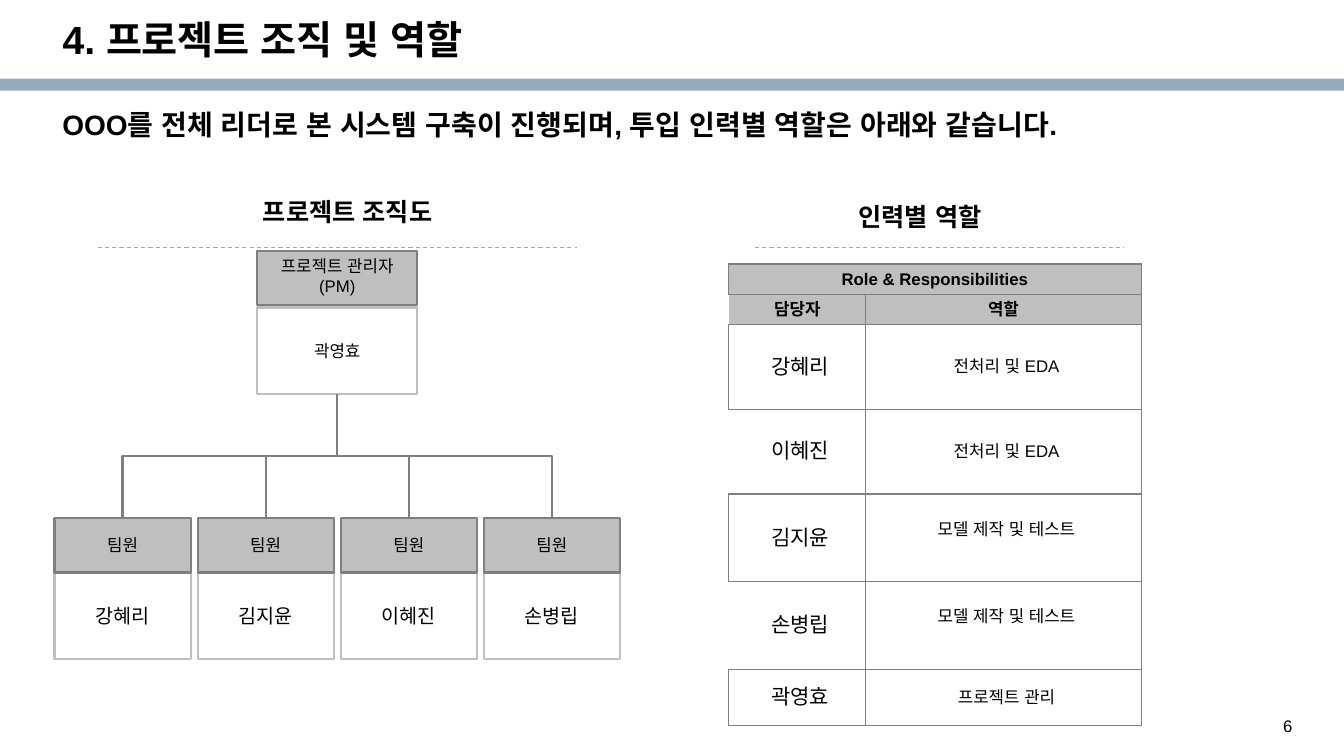
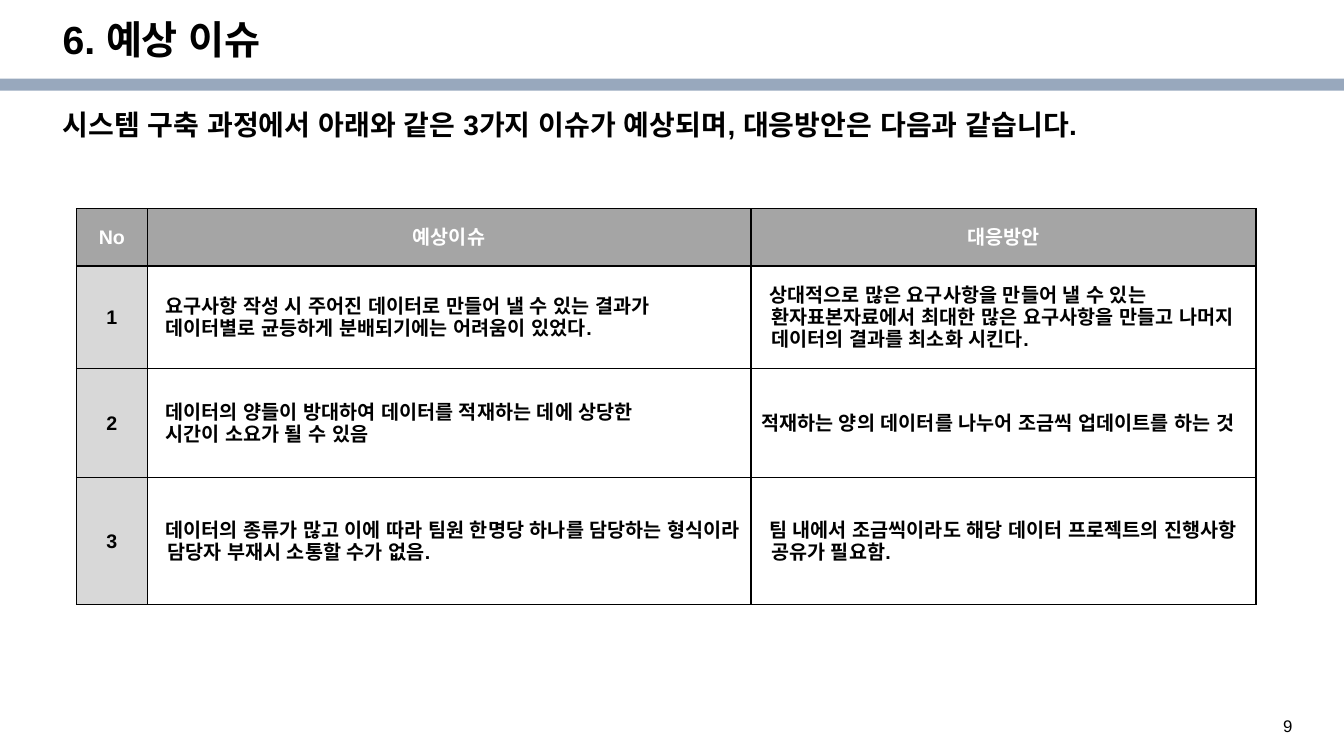
"""Build the project organisation and expected issues slides."""
import dataclasses

import lxml.etree
import pptx
import pptx.dml.color
import pptx.enum.dml
import pptx.enum.shapes
import pptx.enum.text
import pptx.oxml.ns
import pptx.util

ALIGN = pptx.enum.text.PP_ALIGN
ANCHOR = pptx.enum.text.MSO_ANCHOR
CONNECTOR = pptx.enum.shapes.MSO_CONNECTOR
RECTANGLE = pptx.enum.shapes.MSO_SHAPE.RECTANGLE
WIDTH = pptx.util.Inches(13.333)
HEIGHT = pptx.util.Inches(7.5)
QUARTER_TURN = 5400000


@dataclasses.dataclass(frozen=True)
class Theme:
    """Colours, font and type sizes shared by the slides."""
    font: str = "Arial"
    text: str = "000000"
    inverse: str = "FFFFFF"
    band: str = "98A8BD"
    panel: str = "BFBFBF"
    rule: str = "7F7F7F"
    header: str = "A5A5A5"
    number: str = "D8D8D8"
    title: int = 28
    lead: int = 20
    heading: int = 18
    person: int = 15
    body: int = 14
    small: int = 12


THEME = Theme()


@dataclasses.dataclass(frozen=True)
class CellStyle:
    """Look of one kind of table cell, with margins and indents in inches."""
    size: int = THEME.body
    bold: bool = True
    color: str = THEME.text
    fill: str = ""
    align: object = ALIGN.LEFT
    side: float = 0.1
    top: float = 0.04
    bottom: float = 0.04
    indent: float = 0
    hanging: float = 0
    borders: str = "LRTB"


def across(percent):
    """Return a share of the slide width."""
    return round(WIDTH * percent / 100)


def down(percent):
    """Return a share of the slide height."""
    return round(HEIGHT * percent / 100)


def place(left, top, width, height):
    """Return a box given in percent of the slide."""
    return across(left), down(top), across(width), down(height)


def rgb(color):
    """Return a colour object for a hexadecimal string."""
    return pptx.dml.color.RGBColor.from_string(color)


def format_text(text_frame, size, bold=False, color=THEME.text,
                align=ALIGN.LEFT, spacing=None):
    """Format every paragraph and run of a text frame."""
    for paragraph in text_frame.paragraphs:
        paragraph.alignment = align
        paragraph.line_spacing = spacing
        for run in paragraph.runs:
            run.font.size = pptx.util.Pt(size)
            run.font.bold = bold
            run.font.color.rgb = rgb(color)
            run.font.name = THEME.font
            east_asian = lxml.etree.SubElement(
                run._r.get_or_add_rPr(), pptx.oxml.ns.qn("a:ea"))
            east_asian.set("typeface", THEME.font)


def add_text(slide, box, text, size, bold=True, spacing=None):
    """Add a wrapping text box."""
    text_frame = slide.shapes.add_textbox(*place(*box)).text_frame
    text_frame.word_wrap = True
    text_frame.text = text
    format_text(text_frame, size, bold, spacing=spacing)


def add_box(slide, box, text, size, line, fill=None, anchor=ANCHOR.MIDDLE):
    """Add an outlined rectangle with centred text."""
    shape = slide.shapes.add_shape(RECTANGLE, *place(*box))
    shape.shadow.inherit = False
    if fill:
        shape.fill.solid()
        shape.fill.fore_color.rgb = rgb(fill)
    else:
        shape.fill.background()
    shape.line.color.rgb = rgb(line)
    shape.line.width = pptx.util.Pt(1.5)
    shape.text_frame.word_wrap = True
    shape.text_frame.vertical_anchor = anchor
    shape.text_frame.text = text
    format_text(shape.text_frame, size, align=ALIGN.CENTER)


def add_line(slide, kind, start, end, color, width):
    """Add a connector without shadow between two points in slide units."""
    connector = slide.shapes.add_connector(kind, *start, *end)
    connector.line.color.rgb = rgb(color)
    connector.line.width = pptx.util.Pt(width)
    lxml.etree.SubElement(connector.element.spPr,
                          pptx.oxml.ns.qn("a:effectLst"))
    return connector


def add_branch(slide, start, end):
    """Add an elbow that leaves its start downwards and enters its end from above."""
    drop = end[1] - start[1]
    reach = abs(end[0] - start[0])
    left = (start[0] + end[0] - drop) // 2
    top = (start[1] + end[1] - reach) // 2
    connector = add_line(slide, CONNECTOR.ELBOW, (left, top),
                         (left + drop, top + reach), THEME.rule, 1.5)
    transform = connector.element.spPr.find(pptx.oxml.ns.qn("a:xfrm"))
    if end[0] > start[0]:
        transform.set("rot", str(3 * QUARTER_TURN))
        transform.set("flipH", "1")
    else:
        transform.set("rot", str(QUARTER_TURN))


def add_heading(slide, box, text, rule_left, rule_right):
    """Add a section heading above a dashed rule."""
    rule = add_line(slide, CONNECTOR.STRAIGHT, (across(rule_left), down(32.8)),
                    (across(rule_right), down(32.8)), THEME.header, 0.75)
    rule.line.dash_style = pptx.enum.dml.MSO_LINE.DASH
    add_text(slide, box, text, THEME.heading)


def set_borders(cell, sides, color):
    """Draw one-point borders on the named sides of a cell."""
    properties = cell._tc.get_or_add_tcPr()
    for position, side in enumerate("LRTB"):
        border = lxml.etree.Element(pptx.oxml.ns.qn("a:ln" + side))
        border.set("w", str(pptx.util.Pt(1)))
        if side in sides:
            fill = lxml.etree.SubElement(border, pptx.oxml.ns.qn("a:solidFill"))
            lxml.etree.SubElement(fill, pptx.oxml.ns.qn("a:srgbClr"), val=color)
        else:
            lxml.etree.SubElement(border, pptx.oxml.ns.qn("a:noFill"))
        properties.insert(position, border)


def fill_cell(cell, text, style, border_color):
    """Write and format one table cell."""
    cell.text_frame.text = text
    cell.vertical_anchor = ANCHOR.MIDDLE
    cell.margin_left = cell.margin_right = pptx.util.Inches(style.side)
    cell.margin_top = pptx.util.Inches(style.top)
    cell.margin_bottom = pptx.util.Inches(style.bottom)
    if style.fill:
        cell.fill.solid()
        cell.fill.fore_color.rgb = rgb(style.fill)
    else:
        cell.fill.background()
    format_text(cell.text_frame, style.size, style.bold, style.color, style.align)
    for paragraph in cell.text_frame.paragraphs:
        properties = paragraph._p.get_or_add_pPr()
        properties.set("marL", str(pptx.util.Inches(style.indent)))
        properties.set("indent", str(pptx.util.Inches(style.hanging)))
    set_borders(cell, style.borders, border_color)


def add_table(slide, left, top, columns, rows, cells, border_color):
    """Add a table from rows of (text, style) pairs and return it."""
    box = place(left, top, sum(columns), sum(rows))
    table = slide.shapes.add_table(len(rows), len(columns), *box).table
    table.first_row = table.horz_banding = False
    for column, width in zip(table.columns, columns):
        column.width = across(width)
    for row, height, contents in zip(table.rows, rows, cells):
        row.height = down(height)
        for cell, (text, style) in zip(row.cells, contents):
            fill_cell(cell, text, style, border_color)
    return table


def prepare_layout(presentation):
    """Return the title-only layout with its title moved and a band added."""
    layout = presentation.slide_layouts[5]
    title = layout.placeholders[0]
    title.left, title.top, title.width, title.height = place(3.9, 2, 86.25, 7.07)
    return layout


def add_slide(presentation, layout, title, lead, page):
    """Add a slide with band, title, lead sentence and page number."""
    slide = presentation.slides.add_slide(layout)
    band = slide.shapes.add_shape(RECTANGLE, *place(0, 10.4, 100, 1.6))
    band.shadow.inherit = False
    band.fill.solid()
    band.fill.fore_color.rgb = rgb(THEME.band)
    band.line.fill.background()
    text_frame = slide.shapes.title.text_frame
    text_frame.text = title
    text_frame.vertical_anchor = ANCHOR.MIDDLE
    format_text(text_frame, THEME.title, True, spacing=0.9)
    add_text(slide, (3.9, 14.13, 90.08, 9.47), lead, THEME.lead, spacing=0.9)
    add_text(slide, (94.73, 94, 3.9, 3.6), page, THEME.small, bold=False)
    return slide


def add_organisation(slide):
    """Draw the manager, the team members and the branches between them."""
    head_height, name_height = 7.2, 11.47
    manager_left, manager_width, manager_top = 19.13, 11.93, 40.67
    member_left, member_width, member_top, pitch = 4.05, 10.13, 68.53, 10.65
    add_box(slide, (manager_left, manager_top, manager_width, name_height),
            "곽영효", THEME.small, THEME.panel)
    add_box(slide, (manager_left, 33.2, manager_width, head_height),
            "프로젝트 관리자(PM)", THEME.small, THEME.rule, THEME.panel, ANCHOR.TOP)
    start = (across(manager_left + manager_width / 2),
             down(manager_top + name_height))
    for index, name in enumerate(("강혜리", "김지윤", "이혜진", "손병립")):
        left = member_left + index * pitch
        add_box(slide, (left, member_top + head_height, member_width, name_height),
                name, THEME.body, THEME.panel)
        add_box(slide, (left, member_top, member_width, head_height),
                "팀원", THEME.small, THEME.rule, THEME.panel)
        add_branch(slide, start, (across(left + member_width / 2), down(member_top)))


def add_roles(slide):
    """Add the table of people and their roles."""
    head = CellStyle(size=THEME.small, fill=THEME.panel, align=ALIGN.CENTER,
                     top=0.05, bottom=0.05)
    open_head = dataclasses.replace(head, borders="RTB")
    person = CellStyle(size=THEME.person, bold=False, align=ALIGN.CENTER,
                       indent=0.1, hanging=-0.04)
    open_person = dataclasses.replace(person, borders="RTB")
    role = dataclasses.replace(person, size=THEME.small)
    raised_role = dataclasses.replace(role, bottom=0.21)
    cells = [
        [("Role & Responsibilities", head), ("", head)],
        [("담당자", open_head), ("역할", head)],
        [("강혜리", person), ("전처리 및 EDA", role)],
        [("이혜진", open_person), ("전처리 및 EDA", role)],
        [("김지윤", person), ("모델 제작 및 테스트", raised_role)],
        [("손병립", open_person), ("모델 제작 및 테스트", raised_role)],
        [("곽영효", person), ("프로젝트 관리", role)],
    ]
    table = add_table(slide, 54.23, 34.93, (10.2, 20.48),
                      (4, 4, 11.2, 11.2, 11.6, 11.6, 7.47), cells, THEME.rule)
    table.cell(0, 0).merge(table.cell(0, 1))


def add_issues(slide):
    """Add the table of expected issues and responses."""
    head = CellStyle(color=THEME.inverse, fill=THEME.header, align=ALIGN.CENTER,
                     top=0.05, bottom=0.05)
    number = dataclasses.replace(head, color=THEME.text, fill=THEME.number, side=0.05)
    plain = CellStyle()
    indented = CellStyle(indent=0.08)
    hanging = CellStyle(indent=0.1, hanging=-0.02)
    cells = [
        [("No", head), ("예상이슈", head), ("대응방안", head)],
        [("1", number),
         ("요구사항 작성 시 주어진 데이터로 만들어 낼 수 있는 결과가 "
          "데이터별로 균등하게 분배되기에는 어려움이 있었다.", indented),
         ("상대적으로 많은 요구사항을 만들어 낼 수 있는 환자표본자료에서 최대한 많은 "
          "요구사항을 만들고 나머지 데이터의 결과를 최소화 시킨다.", hanging)],
        [("2", number),
         ("데이터의 양들이 방대하여 데이터를 적재하는 데에 상당한\n"
          "시간이 소요가 될 수 있음", hanging),
         ("적재하는 양의 데이터를 나누어 조금씩 업데이트를 하는 것", plain)],
        [("3", number),
         ("데이터의 종류가 많고 이에 따라 팀원 한명당 하나를 담당하는 형식이라 "
          "담당자 부재시 소통할 수가 없음.", hanging),
         ("팀 내에서 조금씩이라도 해당 데이터 프로젝트의 진행사항 "
          "공유가 필요함.", hanging)],
    ]
    add_table(slide, 5.7, 27.6, (5.25, 44.93, 37.58), (7.6, 13.6, 14.4, 16.8),
              cells, THEME.text)


def main():
    """Build and save the presentation."""
    presentation = pptx.Presentation()
    presentation.slide_width, presentation.slide_height = WIDTH, HEIGHT
    layout = prepare_layout(presentation)
    slide = add_slide(
        presentation, layout, "4. 프로젝트 조직 및 역할",
        "OOO를 전체 리더로 본 시스템 구축이 진행되며, 투입 인력별 역할은 아래와 같습니다.", "6")
    add_heading(slide, (18.83, 25.33, 20.4, 5.33), "프로젝트 조직도", 7.28, 42.9)
    add_heading(slide, (63.15, 26, 21, 5.33), "인력별 역할", 56.18, 83.63)
    add_organisation(slide)
    add_roles(slide)
    slide = add_slide(
        presentation, layout, "6. 예상 이슈",
        "시스템 구축 과정에서 아래와 같은 3가지 이슈가 예상되며, 대응방안은 다음과 같습니다.", "9")
    add_issues(slide)
    presentation.save("out.pptx")


main()
